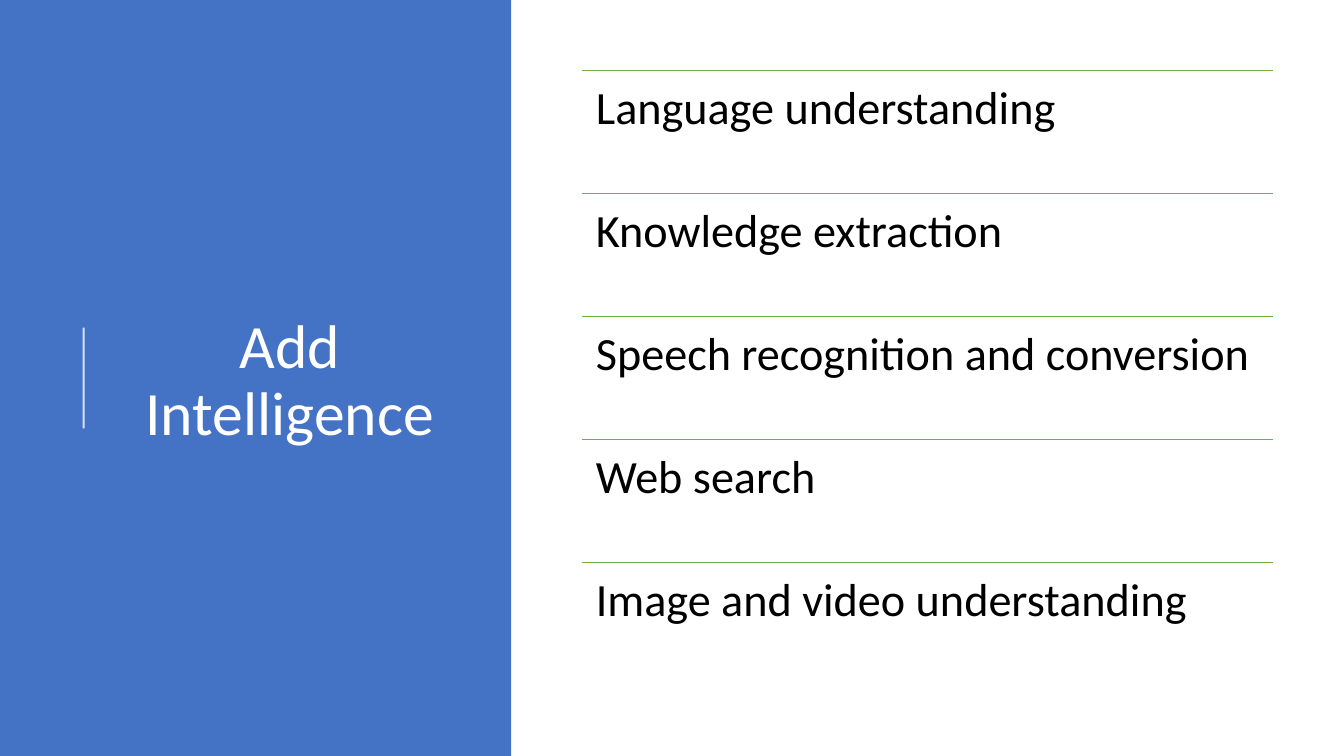
import pptx
import pptx.dml.color
import pptx.enum.shapes
import pptx.enum.text
import pptx.oxml
import pptx.oxml.ns
import pptx.util
from lxml import etree

Inches = pptx.util.Inches
Pt = pptx.util.Pt
ANCHOR = pptx.enum.text.MSO_ANCHOR
ALIGN = pptx.enum.text.PP_ALIGN

TITLE = "Add Intelligence"
SKILLS = [
    "Language understanding",
    "Knowledge extraction",
    "Speech recognition and conversion",
    "Web search",
    "Image and video understanding",
]
COLORS = {"panel": "4472C4", "rule": "70AD47", "light": "FFFFFF", "text": "000000"}
LIST_LEFT, LIST_TOP, LIST_WIDTH, ROW_HEIGHT = 5.77, 0.7, 6.86, 1.22


def color(name):
    return pptx.dml.color.RGBColor.from_string(COLORS[name])


def add_rule(page, start, end, name, width):
    rule = page.shapes.add_connector(
        pptx.enum.shapes.MSO_CONNECTOR.STRAIGHT,
        *(Inches(value) for value in start + end),
    )
    rule.line.color.rgb = color(name)
    rule.line.width = Pt(width)
    etree.SubElement(rule.element.spPr, pptx.oxml.ns.qn("a:effectLst"))
    return rule


def write_text(box, text, size, name, align, anchor, inset):
    frame = box.text_frame
    frame.text = text
    frame_format = {
        "word_wrap": True,
        "auto_size": pptx.enum.text.MSO_AUTO_SIZE.NONE,
        "vertical_anchor": anchor,
        "margin_left": Inches(inset[0]),
        "margin_right": Inches(inset[0]),
        "margin_top": Inches(inset[1]),
        "margin_bottom": Inches(inset[1]),
    }
    for key, value in frame_format.items():
        setattr(frame, key, value)
    para = frame.paragraphs[0]
    para.alignment = align
    para.line_spacing = 0.9
    for key, value in {"name": "Calibri", "size": Pt(size)}.items():
        setattr(para.runs[0].font, key, value)
    para.runs[0].font.color.rgb = color(name)


def main():
    deck = pptx.Presentation()
    deck.slide_width, deck.slide_height = Inches(13.33), Inches(7.5)
    page = deck.slides.add_slide(deck.slide_layouts[5])

    panel = page.shapes.add_shape(
        pptx.enum.shapes.MSO_SHAPE.RECTANGLE, 0, 0, Inches(5.07), deck.slide_height
    )
    panel.shadow.inherit = False
    panel.fill.solid()
    panel.fill.fore_color.rgb = color("panel")
    panel.line.fill.background()

    accent = add_rule(page, (0.83, 4.25), (0.83, 3.25), "light", 1.5)
    tint = accent.element.find(".//" + pptx.oxml.ns.qn("a:srgbClr"))
    etree.SubElement(tint, pptx.oxml.ns.qn("a:alpha"), val="80000")

    title = page.shapes.title
    place = {"left": 1.03, "top": 0.78, "width": 3.69, "height": 6.02}
    for key, value in place.items():
        setattr(title, key, Inches(value))
    write_text(title, TITLE, 44, "light", ALIGN.CENTER, ANCHOR.MIDDLE, (0.1, 0.05))
    accent.element.addnext(title.element)  # lift the title above the panel

    for row, skill in enumerate(SKILLS):
        top = LIST_TOP + row * ROW_HEIGHT
        add_rule(page, (LIST_LEFT, top), (LIST_LEFT + LIST_WIDTH, top), "rule", 0.5)
        box = page.shapes.add_textbox(
            *(Inches(value) for value in (LIST_LEFT, top, LIST_WIDTH, ROW_HEIGHT))
        )
        write_text(box, skill, 33, "text", ALIGN.LEFT, ANCHOR.TOP, (0.14, 0.14))

    deck.save("out.pptx")


if __name__ == "__main__":
    main()
